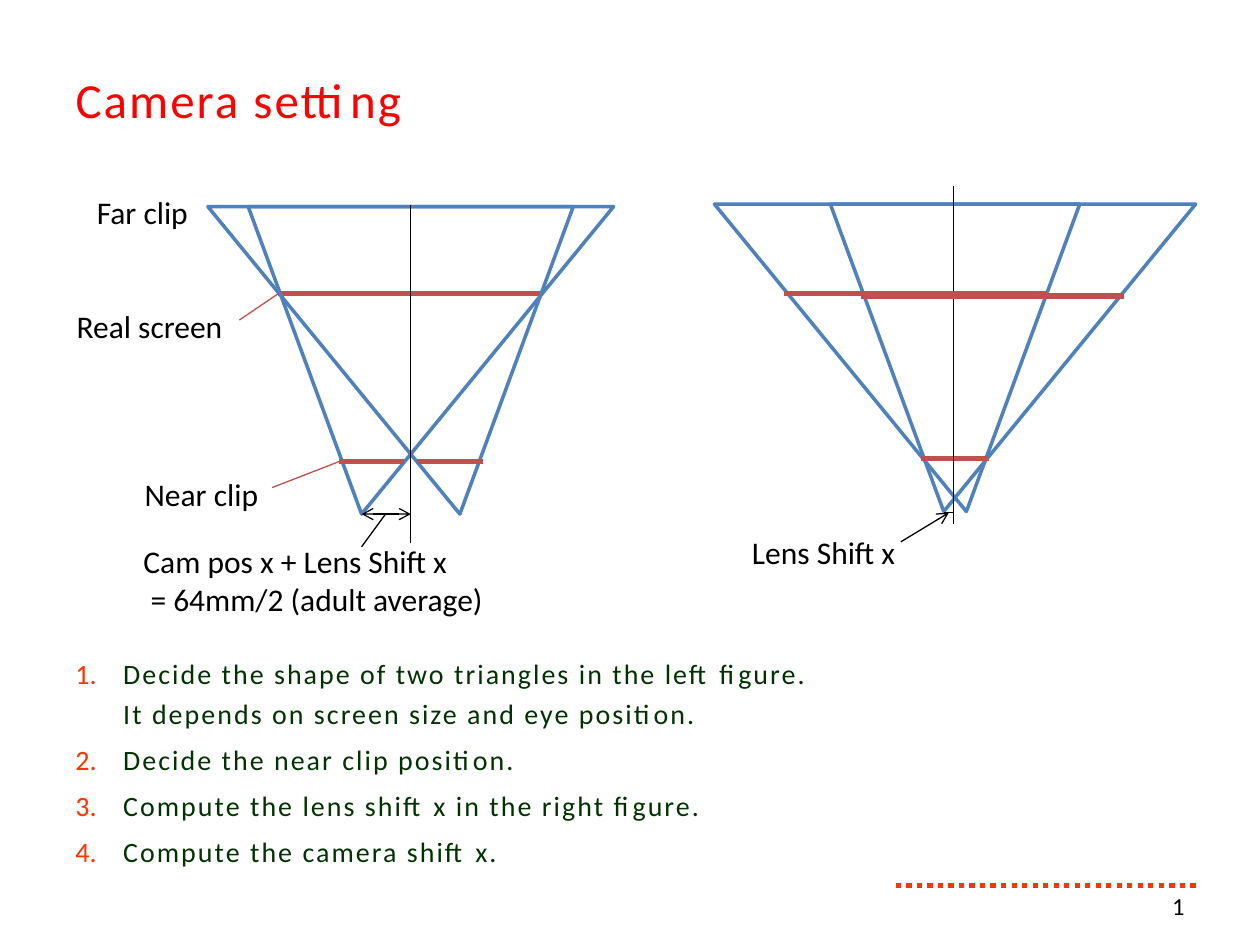
from lxml import etree
from pptx import Presentation
from pptx.dml.color import RGBColor
from pptx.enum.dml import MSO_LINE_DASH_STYLE as Dash
from pptx.enum.shapes import MSO_CONNECTOR as Connector
from pptx.enum.text import MSO_ANCHOR as Anchor, MSO_AUTO_SIZE as AutoSize, PP_ALIGN as Align
from pptx.oxml.ns import qn
from pptx.util import Inches, Pt

COLORS = {"title": "FF0000", "accent": "FF3300", "body": "003300",
          "black": "000000", "screen": "C0504D", "frustum": "4F81BD"}
FONT = "Calibri"
FRUSTUM_WIDTH, FRUSTUM_HEIGHT = 2.9, 2.44
APEX_X, NEAR_Y = 0.9, 2.02
NEAR_START, NEAR_END = 0.72, 1.24
SCREEN_WIDTH, AXIS_HEIGHT = 2.09, 2.68


def color(name):
    return RGBColor.from_string(COLORS[name])


def style_run(run, size, color_name, spacing=None):
    for name, value in {"name": FONT, "size": Pt(size), "bold": False}.items():
        setattr(run.font, name, value)
    run.font.color.rgb = color(color_name)
    if spacing:
        run.font._element.set("spc", str(int(spacing * 100)))


def style_paragraph(paragraph, size, color_name, spacing=None, **formats):
    for name, value in formats.items():
        setattr(paragraph, name, value)
    for run in paragraph.runs:
        style_run(run, size, color_name, spacing)


def add_text_box(slide, box, text, wrap=True, **frame_formats):
    shape = slide.shapes.add_textbox(*map(Inches, box))
    frame = shape.text_frame
    frame.text = text
    for name, value in {"word_wrap": wrap, **frame_formats}.items():
        setattr(frame, name, value)
    return frame


def add_label(slide, box, text):
    frame = add_text_box(slide, box, text, False, auto_size=AutoSize.SHAPE_TO_FIT_TEXT)
    style_paragraph(frame.paragraphs[0], 18, "black")


def add_line(slide, start, end, color_name="black", width=0.75, arrows=()):
    line = slide.shapes.add_connector(
        Connector.STRAIGHT, *map(Inches, (*start, *end)))
    line.line.color.rgb = color(color_name)
    line.line.width = Pt(width)
    for arrow in arrows:
        etree.SubElement(line.line._get_or_add_ln(), qn(f"a:{arrow}"), type="arrow")
    etree.SubElement(line._element.spPr, qn("a:effectLst"))
    return line


def add_bar(slide, left, top, width):
    add_line(slide, (left, top), (left + width, top), "screen", 3)


def add_frustum(slide, left, top, mirrored=False):
    """Camera triangle with its near clip bar."""
    def place(x):
        return left + (FRUSTUM_WIDTH - x if mirrored else x)

    points = [(place(0), top), (place(FRUSTUM_WIDTH), top),
              (place(APEX_X), top + FRUSTUM_HEIGHT)]
    corners = [tuple(map(Inches, point)) for point in points]
    builder = slide.shapes.build_freeform(*corners[0], scale=1.0)
    builder.add_line_segments(corners[1:], close=True)
    triangle = builder.convert_to_shape()
    triangle.shadow.inherit = False
    triangle.fill.background()
    triangle.line.color.rgb = color("frustum")
    triangle.line.width = Pt(2)
    add_line(slide, (place(NEAR_START), top + NEAR_Y),
             (place(NEAR_END), top + NEAR_Y), "screen", 3)


def add_title(slide, box):
    title = slide.shapes.title
    for name, value in zip(("left", "top", "width", "height"), box):
        setattr(title, name, Inches(value))
    frame = title.text_frame
    frame.text = "Camera setting"
    frame.vertical_anchor = Anchor.MIDDLE
    frame.auto_size = AutoSize.NONE
    style_paragraph(frame.paragraphs[0], 28, "title", 1.2,
                    alignment=Align.LEFT, line_spacing=1.2)


def add_left_figure(slide, left, top):
    """Two cameras that share one real screen."""
    add_bar(slide, left + 0.56, top + 0.69, SCREEN_WIDTH)
    add_frustum(slide, left + 0.32, top)
    add_frustum(slide, left, top, mirrored=True)

    # Axis and camera offset
    axis, apex, base = left + 1.61, left + 1.22, top + FRUSTUM_HEIGHT
    add_line(slide, (axis, top - 0.01), (axis, top - 0.01 + AXIS_HEIGHT))
    add_line(slide, (apex, base), (axis, base), arrows=("headEnd", "tailEnd"))
    add_line(slide, (left + 1.41, base), (apex, top + 2.7))

    # Labels and their leaders
    add_line(slide, (left + 0.56, top + 0.69), (left + 0.25, top + 0.9), "screen")
    add_line(slide, (left + 1.05, top + NEAR_Y), (left + 0.51, top + 2.23), "screen")
    for x, y, width, height, text in (
            (-0.98, -0.16, 0.93, 0.3, "Far clip"),
            (-1.14, 0.75, 1.39, 0.3, "Real screen"),
            (-0.6, 2.08, 1.11, 0.3, "Near clip"),
            (-0.61, 2.61, 2.93, 0.52,
             "Cam pos x + Lens Shift x\v = 64mm/2 (adult average)")):
        add_label(slide, (left + x, top + y, width, height), text)


def add_right_figure(slide, left, top):
    """Cameras moved together, so that the screens are shifted."""
    add_frustum(slide, left, top, mirrored=True)
    add_frustum(slide, left + 0.92, top)

    # Axis and lens shift
    axis, base = left + 1.9, top + 2.45
    add_line(slide, (axis, top - 0.14), (axis, top - 0.14 + AXIS_HEIGHT))
    add_line(slide, (left + 1.82, base), (axis, base))
    add_line(slide, (left + 1.48, top + 2.68), (left + 1.86, base), arrows=("tailEnd",))
    add_label(slide, (left + 0.2, top + 2.56, 1.36, 0.3), "Lens Shift x")

    # Shifted screens
    add_bar(slide, left + 0.55, top + 0.71, SCREEN_WIDTH)
    add_bar(slide, left + 1.16, top + 0.73, SCREEN_WIDTH)


def add_steps(slide, box, steps):
    frame = add_text_box(slide, box, "\n".join(steps))
    for paragraph in frame.paragraphs:
        style_paragraph(paragraph, 16, "body", 1.2, line_spacing=1.2)
        properties = paragraph._p.get_or_add_pPr()
        indent = Inches(0.38)
        properties.set("marL", str(indent))
        properties.set("indent", str(-indent))
        before = etree.SubElement(properties, qn("a:spcBef"))
        etree.SubElement(before, qn("a:spcPct"), val="20000")
        bullet_color = etree.SubElement(properties, qn("a:buClr"))
        etree.SubElement(bullet_color, qn("a:srgbClr"), val=COLORS["accent"])
        etree.SubElement(properties, qn("a:buFont"), typeface=FONT)
        etree.SubElement(properties, qn("a:buAutoNum"), type="arabicPeriod")


def add_footer(slide, left, top):
    rule = add_line(slide, (left, top), (left + 2.42, top), "accent", 3)
    rule.line.dash_style = Dash.ROUND_DOT
    frame = add_text_box(slide, (left + 0.06, top, 2.33, 0.32), "1",
                         vertical_anchor=Anchor.MIDDLE)
    style_paragraph(frame.paragraphs[0], 14, "black", alignment=Align.RIGHT)


presentation = Presentation()
presentation.slide_width, presentation.slide_height = Inches(10), Inches(7.5)
slide = presentation.slides.add_slide(presentation.slide_layouts[5])

add_footer(slide, 7.11, 7.03)
add_title(slide, (0.5, 0.31, 9, 0.86))
add_steps(slide, (0.5, 5.11, 9.3, 1.79), [
    "Decide the shape of two triangles in the left figure. \v"
    "It depends on screen size and eye position.",
    "Decide the near clip position.",
    "Compute the lens shift x in the right figure.",
    "Compute the camera shift x.",
])
add_left_figure(slide, 1.65, 1.64)
add_right_figure(slide, 5.67, 1.62)

presentation.save("out.pptx")
